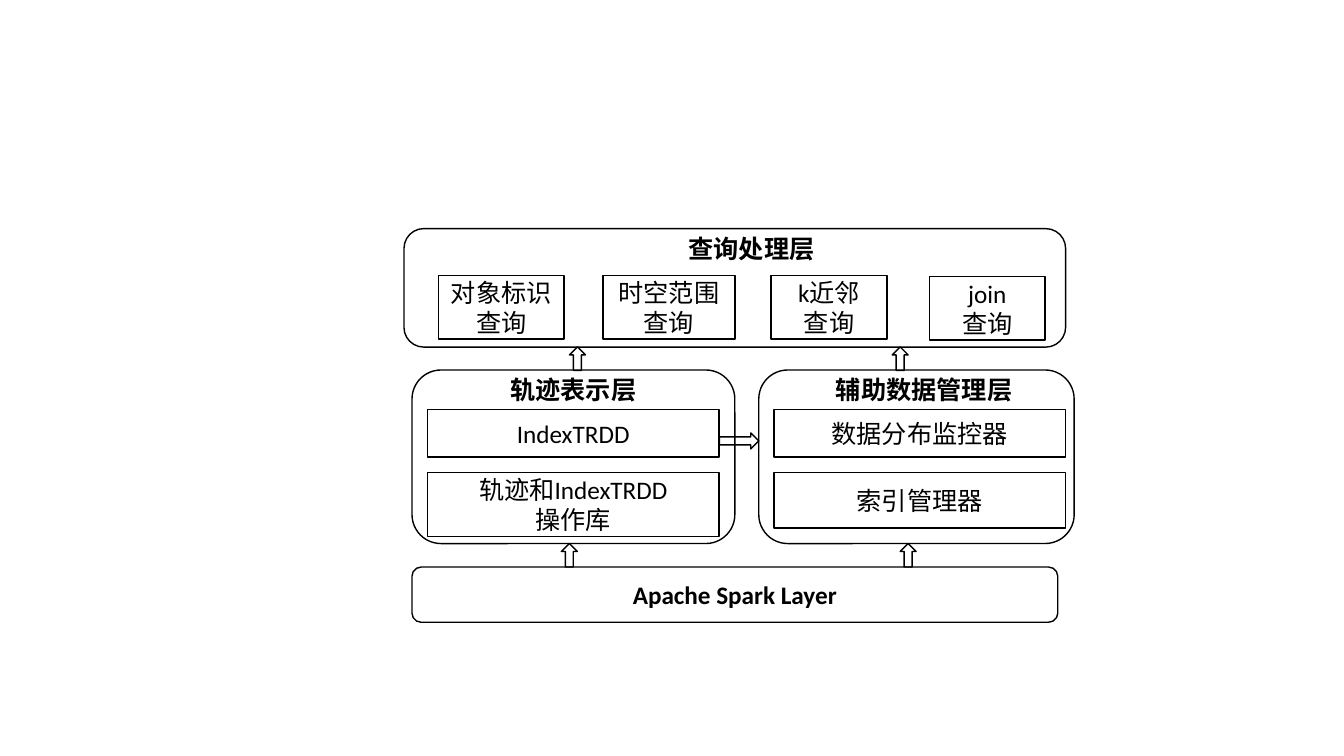
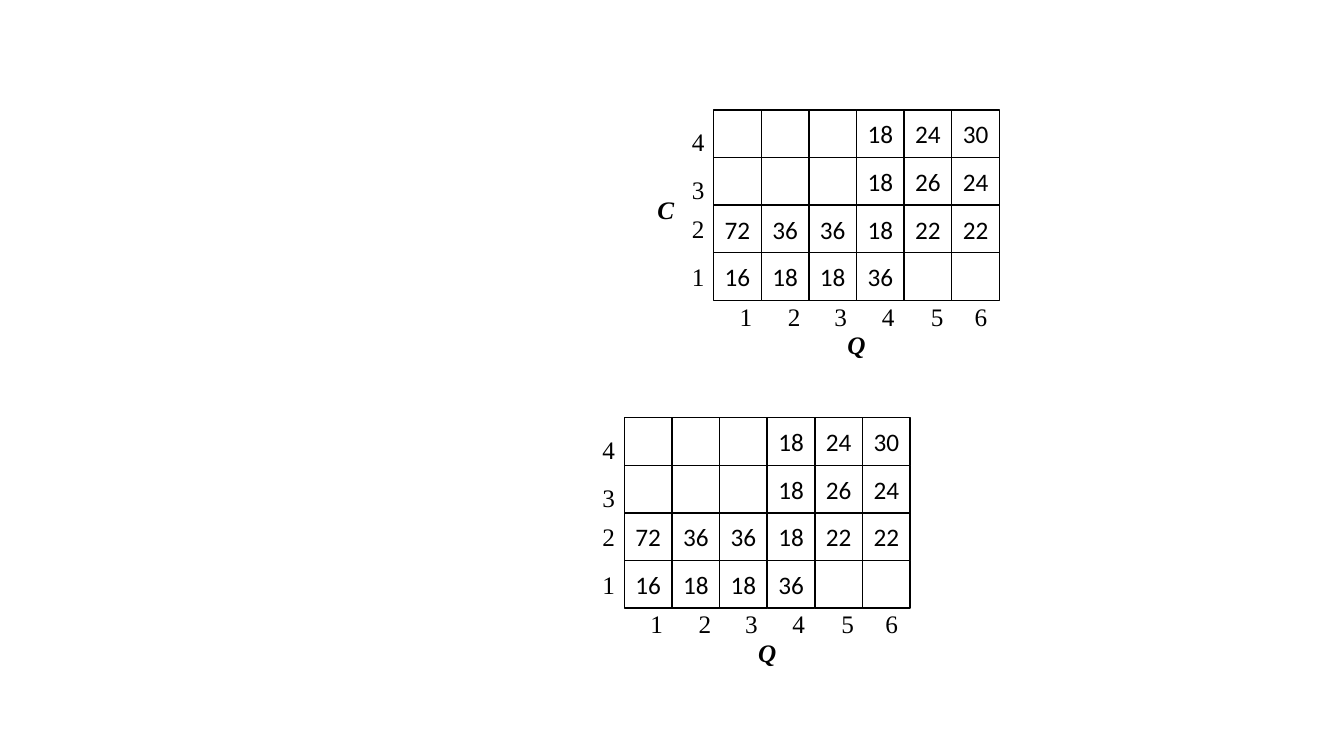
from pptx import Presentation
from pptx.dml.color import RGBColor
from pptx.enum.shapes import MSO_SHAPE
from pptx.enum.text import MSO_ANCHOR, PP_ALIGN
from pptx.util import Pt

RECT = MSO_SHAPE.RECTANGLE
ROUND = MSO_SHAPE.ROUNDED_RECTANGLE
UP = MSO_SHAPE.UP_ARROW
RIGHT = MSO_SHAPE.RIGHT_ARROW
CENTER = PP_ALIGN.CENTER
MIDDLE = MSO_ANCHOR.MIDDLE

BLACK = "000000"
WHITE = "FFFFFF"
SANS = "Calibri"
SERIF = "Times New Roman"


def add_text(sp, text, font=SANS, bold=False, italic=False):
    """Write centred 18 pt black text, one paragraph per line."""
    tf = sp.text_frame
    tf.word_wrap = True
    tf.vertical_anchor = MIDDLE
    tf.text = text
    for p in tf.paragraphs:
        p.alignment = CENTER
        p.font.name = font
        p.font.size = Pt(18)
        p.font.bold = bold
        p.font.italic = italic
        p.font.color.rgb = RGBColor.from_string(BLACK)


def add_box(s, kind, x, y, w, h, text="", fill=None):
    """Draw a black outlined shape, hollow unless a fill is given."""
    sp = s.shapes.add_shape(kind, Pt(x), Pt(y), Pt(w), Pt(h))
    sp.shadow.inherit = False
    sp.line.color.rgb = RGBColor.from_string(BLACK)
    sp.line.width = Pt(1)
    if fill:
        sp.fill.solid()
        sp.fill.fore_color.rgb = RGBColor.from_string(fill)
    else:
        sp.fill.background()
    if text:
        add_text(sp, text)


prs = Presentation()
prs.slide_width, prs.slide_height = Pt(960), Pt(540)
blank = prs.slide_layouts[6]

# Slide 1: architecture layers
s = prs.slides.add_slide(blank)
layers = [
    (288.6, 163.3, 472.6, 84.6, ""),
    (294.3, 264.3, 230.6, 124, ""),
    (542, 264.3, 225.3, 124, ""),
    (294.3, 405, 461.3, 39.5, ""),
]
for x, y, w, h, text in layers:
    add_box(s, ROUND, x, y, w, h, text)

# Layer titles
titles = [
    (424, 157.7, 225.5, 39.6, "查询处理层"),
    (260.5, 258.7, 298, 39.6, "轨迹表示层"),
    (547.3, 258.7, 225.5, 39.6, "辅助数据管理层"),
    (294.3, 405, 461.3, 39.5, "Apache Spark Layer"),
]
for x, y, w, h, text in titles:
    tb = s.shapes.add_textbox(Pt(x), Pt(y), Pt(w), Pt(h))
    add_text(tb, text, bold=True)

# Components inside the layers
components = [
    (313, 196.8, 90, 45.4, "对象标识查询"),
    (430.6, 196.8, 94.3, 45.4, "时空范围查询"),
    (550.8, 196.8, 82.8, 45.4, "k近邻\n查询"),
    (663.8, 197.4, 82.8, 45.4, "join\n查询"),
    (305.5, 292.4, 208, 34, "IndexTRDD"),
    (305.5, 337.7, 208, 45.4, "轨迹和IndexTRDD\n操作库"),
    (553, 292.4, 208, 34, "数据分布监控器"),
    (553, 337.7, 208, 39.6, "索引管理器"),
]
for x, y, w, h, text in components:
    add_box(s, RECT, x, y, w, h, text)

# Arrows between the layers
for x, y in [(401, 388.2), (643, 388.2), (406.8, 247.8), (637.3, 247.8)]:
    add_box(s, UP, x, y, 11.4, 16.8)
add_box(s, RIGHT, 513.9, 309.3, 28.1, 11.4)

# Slide 2: two grids of values with axis labels
s = prs.slides.add_slide(blank)
CELL = 34.02
ROWS = [
    ["", "", "", "18", "24", "30"],
    ["", "", "", "18", "26", "24"],
    ["72", "36", "36", "18", "22", "22"],
    ["16", "18", "18", "36", "", ""],
]
Q_TICKS = [11.5, 46, 79.2, 113, 148, 179.3]
C_TICKS = [("4", 11.5), ("3", 45.4), ("2", 73.6), ("1", 108)]
grids = [(509.8, 78.5), (446, 298.4)]

labels = [(458.6, 135.4, 34, 28, "C", True)]
for left, top in grids:
    for i, row in enumerate(ROWS):
        for j, value in enumerate(row):
            add_box(s, RECT, left + j * CELL, top + i * CELL, CELL, CELL,
                    value, fill=WHITE)
    bottom = top + len(ROWS) * CELL
    for n, dx in enumerate(Q_TICKS, 1):
        labels.append((left + dx, bottom, 16, 22.3, str(n), False))
    for name, dy in C_TICKS:
        labels.append((left - 22.7, top + dy, 16.5, 22.3, name, False))
    labels.append((left + 74, bottom + 17.3, 56, 28, "Q", True))

for x, y, w, h, text, is_axis in labels:
    tb = s.shapes.add_textbox(Pt(x), Pt(y), Pt(w), Pt(h))
    add_text(tb, text, font=SERIF, bold=is_axis, italic=is_axis)

prs.save("out.pptx")
